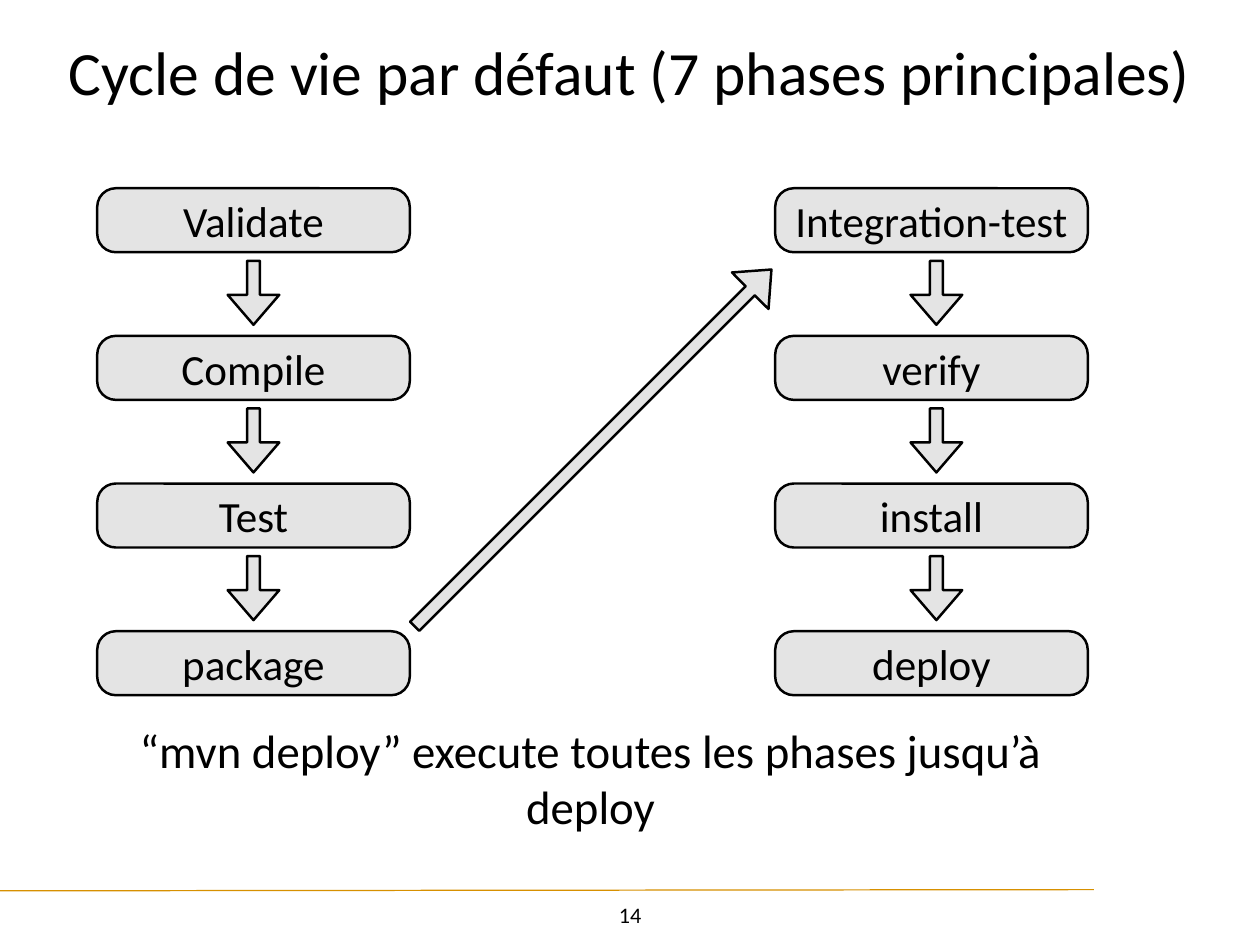
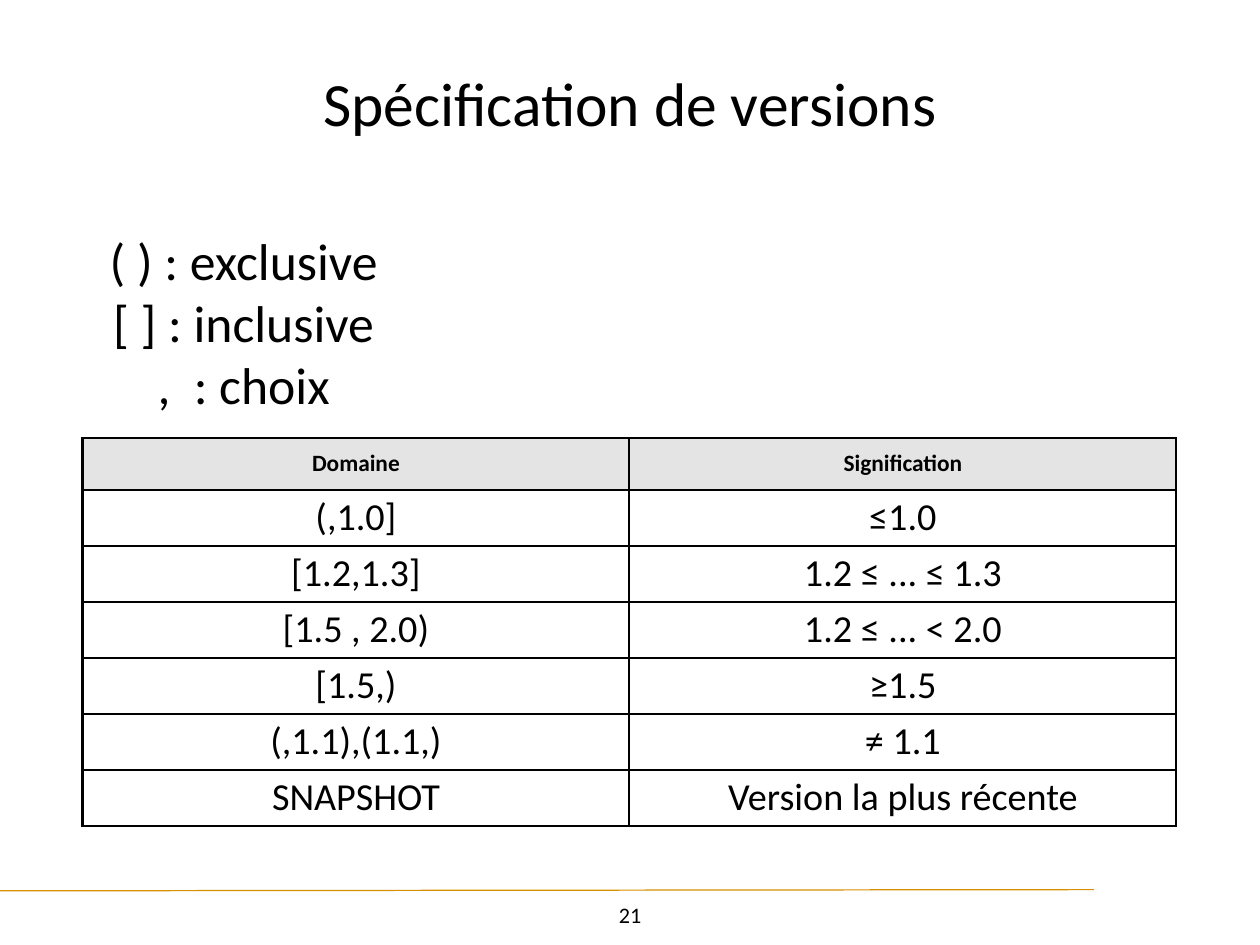
from dataclasses import dataclass

from lxml.etree import SubElement
from pptx import Presentation
from pptx.dml.color import RGBColor
from pptx.enum.shapes import MSO_CONNECTOR, MSO_SHAPE
from pptx.enum.text import MSO_ANCHOR, MSO_AUTO_SIZE, PP_ALIGN
from pptx.oxml import parse_xml
from pptx.oxml.ns import nsdecls, qn
from pptx.util import Pt


@dataclass(frozen=True)
class Theme:
    font: str = "Calibri"
    ink: RGBColor = RGBColor(0x00, 0x00, 0x00)
    paper: RGBColor = RGBColor(0xFF, 0xFF, 0xFF)
    panel: RGBColor = RGBColor(0xE4, 0xE4, 0xE4)
    accent: RGBColor = RGBColor(0xD7, 0x90, 0x00)
    title_size: int = 50
    legend_size: int = 42
    note_size: int = 38
    box_size: int = 35
    cell_size: int = 31
    header_size: int = 19
    number_size: int = 18
    inset: int = 4
    outline: int = 2


class Deck:
    """Holds the theme and the current slide, and draws each kind of element."""

    def __init__(self, theme):
        self.theme = theme
        self.presentation = Presentation()
        self.presentation.slide_width = Pt(1024)
        self.presentation.slide_height = Pt(768)
        self.slide = None

    def start_slide(self, title, title_box, number):
        layout = self.presentation.slide_layouts[5]
        self.slide = self.presentation.slides.add_slide(layout)
        background = self.slide.background.fill
        background.solid()
        background.fore_color.rgb = self.theme.paper
        self.footer_line()
        placeholder = self.slide.shapes.title
        left, top, width, height = map(Pt, title_box)
        placeholder.left, placeholder.top = left, top
        placeholder.width, placeholder.height = width, height
        self.fill_text(placeholder.text_frame, [title], self.theme.title_size)
        placeholder.text_frame.auto_size = MSO_AUTO_SIZE.NONE
        self.text([str(number)], (492, 729, 40, 29), self.theme.number_size)

    def footer_line(self):
        connector = self.slide.shapes.add_connector(
            MSO_CONNECTOR.STRAIGHT, Pt(-28), Pt(724), Pt(889), Pt(723))
        connector.line.color.rgb = self.theme.accent
        connector.line.width = Pt(1)
        SubElement(connector.element.spPr, qn("a:effectLst"))

    def fill_text(self, frame, lines, size):
        frame.word_wrap = True
        frame.vertical_anchor = MSO_ANCHOR.MIDDLE
        self.set_insets(frame)
        frame.text = "\n".join(lines)
        for paragraph in frame.paragraphs:
            self.style_paragraph(paragraph, size)

    def set_insets(self, holder):
        inset = Pt(self.theme.inset)
        holder.margin_left = holder.margin_right = inset
        holder.margin_top = holder.margin_bottom = inset

    def style_paragraph(self, paragraph, size, bold=False):
        paragraph.alignment = PP_ALIGN.CENTER
        font = paragraph.font
        font.name, font.size, font.bold = self.theme.font, Pt(size), bold
        font.color.rgb = self.theme.ink

    def text(self, lines, box, size):
        shape = self.slide.shapes.add_textbox(*map(Pt, box))
        self.fill_text(shape.text_frame, lines, size)
        shape.text_frame.auto_size = MSO_AUTO_SIZE.SHAPE_TO_FIT_TEXT

    def panel(self, kind, box, adjustments):
        shape = self.slide.shapes.add_shape(kind, *map(Pt, box))
        for index, value in enumerate(adjustments):
            shape.adjustments[index] = value
        shape.shadow.inherit = False
        shape.fill.solid()
        shape.fill.fore_color.rgb = self.theme.panel
        shape.line.color.rgb = self.theme.ink
        shape.line.width = Pt(self.theme.outline)
        return shape

    def phase(self, label, box):
        shape = self.panel(MSO_SHAPE.ROUNDED_RECTANGLE, box, [0.29])
        self.fill_text(shape.text_frame, [label], self.theme.box_size)

    def arrow(self, center_x, center_y, length, angle):
        thickness = 42
        box = (center_x - length / 2, center_y - thickness / 2, length, thickness)
        shape = self.panel(MSO_SHAPE.RIGHT_ARROW, box, [0.25, 0.58])
        shape.rotation = angle

    def table(self, rows, box, row_heights):
        frame = self.slide.shapes.add_table(len(rows), len(rows[0]), *map(Pt, box))
        table = frame.table
        table.first_row = table.horz_banding = False
        for row_index, (values, height) in enumerate(zip(rows, row_heights)):
            table.rows[row_index].height = Pt(height)
            for column_index, value in enumerate(values):
                self.cell(table.cell(row_index, column_index), value, row_index == 0)

    def cell(self, cell, value, is_header):
        theme = self.theme
        cell.text = value
        cell.vertical_anchor = MSO_ANCHOR.MIDDLE
        self.set_insets(cell)
        size = theme.header_size if is_header else theme.cell_size
        self.style_paragraph(cell.text_frame.paragraphs[0], size, is_header)
        if is_header:
            cell.fill.solid()
            cell.fill.fore_color.rgb = theme.panel
        else:
            cell.fill.background()
        properties = cell._tc.get_or_add_tcPr()
        for index, side in enumerate("LRTB"):
            properties.insert(index, parse_xml(
                f'<a:ln{side} {nsdecls("a")} w="{Pt(theme.outline)}"><a:solidFill>'
                f'<a:srgbClr val="{theme.ink}"/></a:solidFill></a:ln{side}>'))


def lifecycle_slide(deck):
    deck.start_slide("Cycle de vie par défaut (7 phases principales)",
                     (12, 5, 1000, 106), 14)
    columns = [
        (79, 206, ["Validate", "Compile", "Test", "package"]),
        (630, 761, ["Integration-test", "verify", "install", "deploy"]),
    ]
    first_top, pitch = 153, 120
    for left, arrow_x, labels in columns:
        for index, label in enumerate(labels):
            top = first_top + index * pitch
            deck.phase(label, (left, top, 254, 52))
            if index < len(labels) - 1:
                deck.arrow(arrow_x, top + 85, 52, 90)
    deck.arrow(482, 364, 410, -45)
    deck.text(["“mvn deploy” execute toutes les phases jusqu’à deploy"],
              (55, 606, 850, 52), deck.theme.note_size)


def versions_slide(deck):
    deck.start_slide("Spécification de versions", (100, 20, 824, 125), 21)
    rows = [
        ("Domaine", "Signification"),
        ("(,1.0]", "≤1.0"),
        ("[1.2,1.3]", "1.2 ≤ ... ≤ 1.3"),
        ("[1.5 , 2.0)", "1.2 ≤ ... < 2.0"),
        ("[1.5,)", "≥1.5"),
        ("(,1.1),(1.1,)", "≠ 1.1"),
        ("SNAPSHOT", "Version la plus récente"),
    ]
    deck.table(rows, (67, 356, 889, 313), [42] + [45.5] * 6)
    deck.text(["( ) : exclusive", "[ ] : inclusive", ",  : choix"],
              (78, 184, 240, 155), deck.theme.legend_size)


def main():
    deck = Deck(Theme())
    lifecycle_slide(deck)
    versions_slide(deck)
    deck.presentation.save("out.pptx")


if __name__ == "__main__":
    main()
